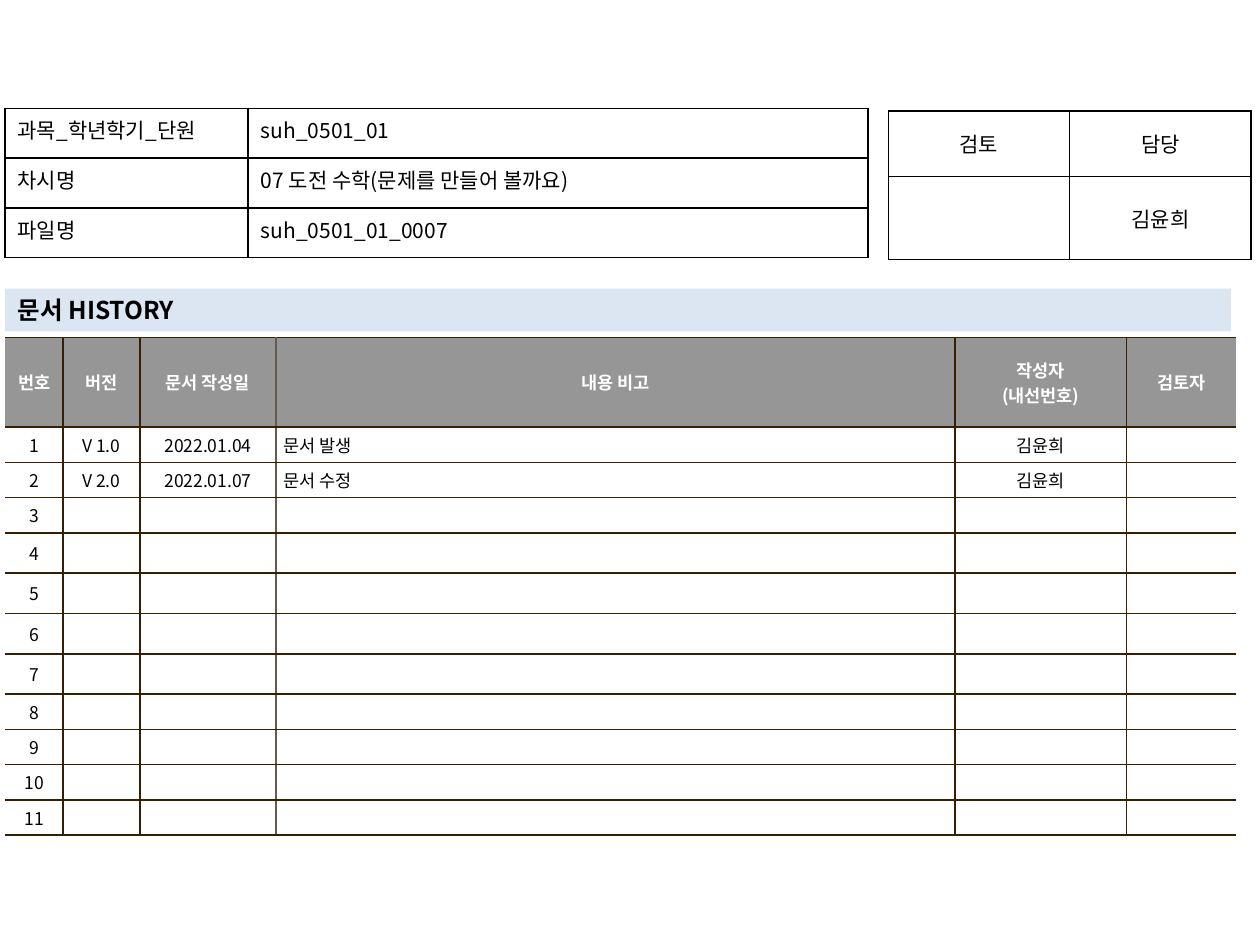
from lxml import etree
from pptx import Presentation
from pptx.dml.color import RGBColor
from pptx.enum.text import MSO_ANCHOR, PP_ALIGN
from pptx.oxml.ns import qn
from pptx.util import Inches, Pt

LEFT, MID, JUST = PP_ALIGN.LEFT, PP_ALIGN.CENTER, PP_ALIGN.JUSTIFY
TOP, CORE = MSO_ANCHOR.TOP, MSO_ANCHOR.MIDDLE
BLACK = RGBColor(0x00, 0x00, 0x00)
WHITE = RGBColor(0xFF, 0xFF, 0xFF)
GRAY = RGBColor(0x96, 0x96, 0x96)
BLUE = RGBColor(0xDC, 0xE6, 0xF2)
BROWN = RGBColor(0x36, 0x20, 0x00)
TAUPE = RGBColor(0x64, 0x5B, 0x4C)

INFO = [
    ["과목_학년학기_단원", "suh_0501_01"],
    ["차시명", "07 도전 수학(문제를 만들어 볼까요)"],
    ["파일명", "suh_0501_01_0007"],
]
SIGN = [["검토", "담당"], ["", "김윤희"]]
HEAD = ["번호", "버전", "문서 작성일", "내용 비고", "작성자\n(내선번호)", "검토자"]
DONE = [
    ["1", "V 1.0", "2022.01.04", "문서 발생", "김윤희", ""],
    ["2", "V 2.0", "2022.01.07", "문서 수정", "김윤희", ""],
]
LOG = [HEAD] + DONE + [[str(num)] + [""] * 5 for num in range(3, 12)]


class Deck:
    """Style and current slide, on a grid of 1000 columns by 750 rows."""

    font = "Noto Sans CJK KR"
    cols, rows = 1000, 750

    def __init__(self):
        self.prs = Presentation()
        self.prs.slide_width, self.prs.slide_height = Inches(10), Inches(7.5)
        self.slide = self.prs.slides.add_slide(self.prs.slide_layouts[5])

    def x(self, count):
        return round(self.prs.slide_width * count / self.cols)

    def y(self, count):
        return round(self.prs.slide_height * count / self.rows)

    def text(self, frame, words, size, color, bold=False, align=LEFT):
        for i, line in enumerate(words.split("\n")):
            para = frame.add_paragraph() if i else frame.paragraphs[0]
            para.alignment = align
            if not line:
                end = etree.SubElement(para._p, qn("a:endParaRPr"))
                end.set("sz", str(size * 100))
                continue
            run = para.add_run()
            run.text = line
            run.font.size, run.font.bold = Pt(size), bold
            run.font.name, run.font.color.rgb = self.font, color
            east = etree.SubElement(run.font._element, qn("a:ea"))
            east.set("typeface", self.font)

    def title(self, words, left, top, width, height):
        box = self.slide.shapes.title
        box.left, box.top = self.x(left), self.y(top)
        box.width, box.height = self.x(width), self.y(height)
        box.fill.solid()
        box.fill.fore_color.rgb = BLUE
        box.text_frame.vertical_anchor = CORE
        self.text(box.text_frame, words, 14, BLACK, True)

    def edge(self, cell, side, color):
        line = etree.SubElement(cell._tc.get_or_add_tcPr(), qn("a:ln" + side))
        line.set("w", str(Pt(1) if color else 0))
        if color is None:
            etree.SubElement(line, qn("a:noFill"))
            return
        fill = etree.SubElement(line, qn("a:solidFill"))
        etree.SubElement(fill, qn("a:srgbClr")).set("val", str(color))

    def table(self, data, left, top, wide, high, style):
        shape = self.slide.shapes.add_table(
            len(high), len(wide), self.x(left), self.y(top),
            self.x(sum(wide)), self.y(sum(high)))
        grid = shape.table
        grid.horz_banding = False
        for col, width in zip(grid.columns, wide):
            col.width = self.x(width)
        for row, height in zip(grid.rows, high):
            row.height = self.y(height)
        for r, line in enumerate(data):
            for c, words in enumerate(line):
                style(grid.cell(r, c), words, r, c)

    def info(self, cell, words, row, col):
        self.plain(cell, words, TOP, LEFT if col else JUST)

    def sign(self, cell, words, row, col):
        self.plain(cell, words, CORE, MID)

    def plain(self, cell, words, anchor, align):
        for side in "LRTB":
            self.edge(cell, side, BLACK)
        cell.fill.background()
        cell.vertical_anchor = anchor
        self.text(cell.text_frame, words, 12, BLACK, align=align)

    def log(self, cell, words, row, col):
        rules = [None, BROWN, BROWN, TAUPE, BROWN, BROWN, None]
        for side, color in zip("LRTB", (rules[col], rules[col + 1], BROWN, BROWN)):
            self.edge(cell, side, color)
        cell.fill.solid()
        cell.fill.fore_color.rgb = WHITE if row else GRAY
        cell.vertical_anchor = CORE
        cell.margin_left = cell.margin_right = Inches(0.06)
        cell.margin_top = cell.margin_bottom = Inches(0.04)
        note = row > 0 and col == 3
        self.text(cell.text_frame, words, 10, BLACK if row else WHITE,
                  row == 0, LEFT if note else MID)
        if note:
            props = cell.text_frame.paragraphs[0]._p.get_or_add_pPr()
            props.set("marL", str(Inches(0.19)))
            props.set("indent", str(-Inches(0.19)))

    def save(self):
        self.prs.save("out.pptx")


def main():
    deck = Deck()
    deck.table(LOG, 4, 268, [46, 61, 108, 539, 136, 87],
               [71] + [28] * 3 + [32] * 4 + [28] * 4, deck.log)
    deck.table(SIGN, 705, 88, [144] * 2, [52, 66], deck.sign)
    deck.title("문서 HISTORY", 4, 229, 973, 34)
    deck.table(INFO, 4, 86, [193, 492], [39.5] * 3, deck.info)
    deck.save()


if __name__ == "__main__":
    main()
